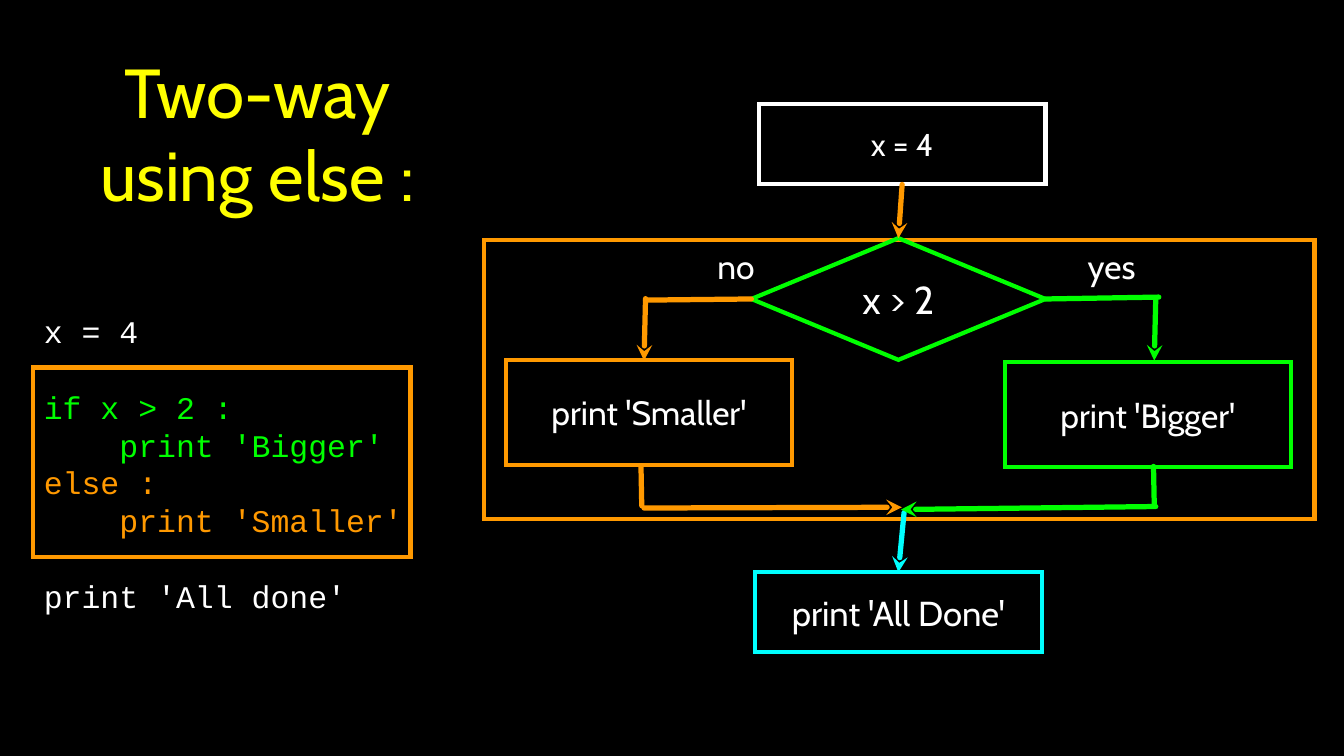
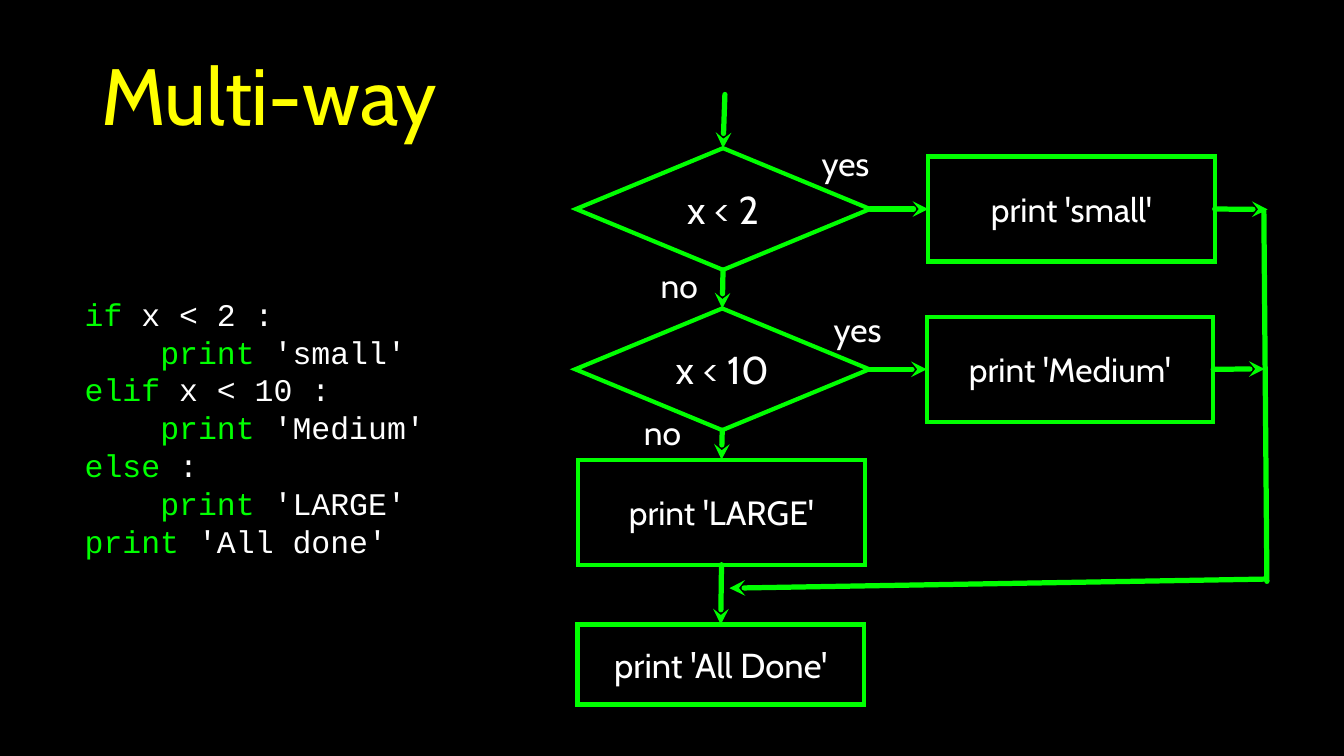
from dataclasses import dataclass

from lxml.etree import SubElement
from pptx import Presentation
from pptx.dml.color import RGBColor
from pptx.enum.shapes import MSO_CONNECTOR, MSO_SHAPE
from pptx.enum.text import MSO_ANCHOR, MSO_AUTO_SIZE, PP_ALIGN
from pptx.oxml.ns import qn
from pptx.util import Inches, Pt


@dataclass(frozen=True)
class Theme:
    background: RGBColor = RGBColor(0x00, 0x00, 0x00)
    white: RGBColor = RGBColor(0xFF, 0xFF, 0xFF)
    yellow: RGBColor = RGBColor(0xFF, 0xFF, 0x00)
    green: RGBColor = RGBColor(0x00, 0xFF, 0x00)
    orange: RGBColor = RGBColor(0xFF, 0x99, 0x00)
    cyan: RGBColor = RGBColor(0x00, 0xFF, 0xFF)
    text_font: str = "Cabin"
    code_font: str = "Courier New"
    code_size: int = 30
    code_leading: int = 36
    label_size: int = 32
    decision_size: int = 37
    final_size: int = 33
    outline: int = 4
    arrow: int = 5


THEME = Theme()
TOP, LEFT, BOTTOM, RIGHT = range(4)

# Sizes shared by the flowchart nodes
DECISION = (3.89, 1.61)
ACTION = (3.79, 1.39)
STEP = (3.79, 1.06)
INDENT = 1.0


# Text
def prepare_frame(frame, margin=0):
    frame.word_wrap = True
    frame.auto_size = MSO_AUTO_SIZE.NONE
    frame.vertical_anchor = MSO_ANCHOR.MIDDLE
    frame.margin_left = frame.margin_right = Inches(margin)
    frame.margin_top = frame.margin_bottom = Inches(margin)


def write_centered(frame, text, size, color=THEME.white, margin=0):
    prepare_frame(frame, margin)
    para = frame.paragraphs[0]
    para.text = text
    para.alignment = PP_ALIGN.CENTER
    para.font.name = THEME.text_font
    para.font.size = Pt(size)
    para.font.color.rgb = color


def add_page(deck, title, size, left, top, width, height):
    page = deck.slides.add_slide(deck.slide_layouts.get_by_name("Title Only"))
    box = page.shapes.title
    box.left, box.top = Inches(left), Inches(top)
    box.width, box.height = Inches(width), Inches(height)
    write_centered(box.text_frame, title, size, THEME.yellow, margin=0.04)
    return page


def add_label(page, text, left, top):
    width = 0.69 if text == "yes" else 0.59
    box = page.shapes.add_textbox(
        Inches(left), Inches(top), Inches(width), Inches(0.61))
    write_centered(box.text_frame, text, THEME.label_size)


def add_code(page, lines, left, top, width, height):
    """Each line is (indent level, space before in lines, [(text, color), ...])."""
    box = page.shapes.add_textbox(
        Inches(left), Inches(top), Inches(width), Inches(height))
    frame = box.text_frame
    prepare_frame(frame)
    for number, (level, gap, spans) in enumerate(lines):
        para = frame.add_paragraph() if number else frame.paragraphs[0]
        para.font.name = THEME.code_font
        para.font.size = Pt(THEME.code_size)
        para.line_spacing = Pt(THEME.code_leading)
        para.space_before = Pt(gap * THEME.code_leading)
        para._p.get_or_add_pPr().set("marL", str(Inches(level * INDENT)))
        for text, color in spans:
            span = para.add_run()
            span.text = text
            span.font.color.rgb = color


# Shapes
def add_outline(page, kind, left, top, size, color):
    width, height = size
    shape = page.shapes.add_shape(
        kind, Inches(left), Inches(top), Inches(width), Inches(height))
    shape.shadow.inherit = False
    shape.fill.background()
    shape.line.color.rgb = color
    shape.line.width = Pt(THEME.outline)
    SubElement(shape.line._get_or_add_ln(), qn("a:miter"), lim="800000")
    return shape


def add_frame(page, left, top, width, height):
    add_outline(page, MSO_SHAPE.RECTANGLE, left, top, (width, height), THEME.orange)


def add_decision(page, text, left, top):
    shape = add_outline(page, MSO_SHAPE.DIAMOND, left, top, DECISION, THEME.green)
    write_centered(shape.text_frame, text, THEME.decision_size)
    return shape


def add_node(page, text, left, top, color=THEME.green, size=ACTION,
             text_size=THEME.label_size):
    shape = add_outline(page, MSO_SHAPE.RECTANGLE, left, top, size, color)
    write_centered(shape.text_frame, text, text_size)
    return shape


def add_line(page, start, end, color=THEME.green, arrow=True):
    """Each end is a point (x, y) in inches or a joint (shape, side)."""
    def is_joint(place):
        return hasattr(place[0], "shape_id")

    points = [0 if is_joint(place) else Inches(value)
              for place in (start, end) for value in place]
    line = page.shapes.add_connector(MSO_CONNECTOR.STRAIGHT, *points)
    if is_joint(start):
        line.begin_connect(*start)
    if is_joint(end):
        line.end_connect(*end)
    line.line.color.rgb = color
    line.line.width = Pt(THEME.arrow)
    outline = line.line._get_or_add_ln()
    outline.set("cap", "rnd")
    if arrow:
        SubElement(outline, qn("a:tailEnd"), type="stealth")
    SubElement(line._element.spPr, qn("a:effectLst"))


# Slides
def build_two_way(deck):
    green, orange, white = THEME.green, THEME.orange, THEME.white
    page = add_page(deck, "Two-way using else :", 66, 0.61, 0.5, 5.59, 2.51)

    # Code with its framed branch
    add_frame(page, 0.44, 4.86, 4.99, 2.51)
    add_code(page, [
        (0, 0, [("x = 4", white)]),
        (0, 1, [("if x > 2 :", green)]),
        (1, 0, [("print 'Bigger'", green)]),
        (0, 0, [("else :", orange)]),
        (1, 0, [("print 'Smaller'", orange)]),
        (0, 1, [("print 'All done'", white)]),
    ], 0.58, 3.35, 5.26, 5.56)

    # Flowchart nodes
    add_frame(page, 6.4, 3.17, 10.99, 3.69)
    start = add_node(page, "x = 4", 10.04, 1.38, white, STEP, 30)
    decision = add_decision(page, "x > 2", 9.94, 3.15)
    bigger = add_node(page, "print 'Bigger'", 13.29, 4.79)
    smaller = add_node(page, "print 'Smaller'", 6.69, 4.76, orange)
    done = add_node(page, "print 'All Done'", 9.99, 7.57, THEME.cyan, STEP,
                    THEME.final_size)
    add_label(page, "no", 9.44, 3.22)
    add_label(page, "yes", 14.36, 3.22)

    # Entry and exit
    add_line(page, (start, BOTTOM), (decision, TOP), orange)
    add_line(page, (11.96, 6.78), (done, TOP), THEME.cyan)

    # The "yes" branch
    add_line(page, (decision, RIGHT), (15.33, 3.93), arrow=False)
    add_line(page, (15.29, 3.95), (15.27, 4.77))
    add_line(page, (15.26, 6.17), (15.27, 6.67), arrow=False)
    add_line(page, (15.29, 6.7), (11.92, 6.74))

    # The "no" branch
    add_line(page, (decision, LEFT), (8.54, 3.97), orange, arrow=False)
    add_line(page, (8.54, 3.95), (8.52, 4.77), orange)
    add_line(page, (8.48, 6.18), (8.49, 6.69), orange, arrow=False)
    add_line(page, (8.52, 6.72), (11.93, 6.71), orange)


def build_multi_way(deck):
    green, white = THEME.green, THEME.white
    page = add_page(deck, "Multi-way", 76, 0.61, 0.33, 5.9, 1.81)

    # Code with keywords in green
    code = [
        (0, "if", " x < 2 :"),
        (1, "print", " 'small'"),
        (0, "elif", " x < 10 :"),
        (1, "print", " 'Medium'"),
        (0, "else", " :"),
        (1, "print", " 'LARGE'"),
        (0, "print", " 'All done'"),
    ]
    add_code(page, [(level, 0, [(keyword, green), (rest, white)])
                    for level, keyword, rest in code], 1.12, 3.21, 5.58, 4.88)

    # Flowchart nodes
    below_two = add_decision(page, "x < 2", 7.62, 1.96)
    below_ten = add_decision(page, "x < 10", 7.61, 4.08)
    small = add_node(page, "print 'small'", 12.28, 2.07)
    medium = add_node(page, "print 'Medium'", 12.26, 4.19)
    large = add_node(page, "print 'LARGE'", 7.65, 6.08)
    done = add_node(page, "print 'All Done'", 7.64, 8.26, size=STEP,
                    text_size=THEME.final_size)
    for text, left, top in [("yes", 10.84, 1.85), ("no", 8.69, 3.47),
                            ("yes", 11, 4.05), ("no", 8.47, 5.41)]:
        add_label(page, text, left, top)

    # Main path downwards
    add_line(page, (9.59, 1.25), (below_two, TOP))
    for upper, lower in [(below_two, below_ten), (below_ten, large), (large, done)]:
        add_line(page, (upper, BOTTOM), (lower, TOP))

    # Side branches and their way back
    for decision, action, end in [(below_two, small, (16.77, 2.77)),
                                  (below_ten, medium, (16.73, 4.88))]:
        add_line(page, (decision, RIGHT), (action, LEFT))
        add_line(page, (action, RIGHT), end)
    add_line(page, (16.72, 2.79), (16.76, 7.69), arrow=False)
    add_line(page, (16.74, 7.66), (9.65, 7.78))


def main():
    deck = Presentation()
    deck.slide_width, deck.slide_height = Inches(17.78), Inches(10)
    fill = deck.slide_master.background.fill
    fill.solid()
    fill.fore_color.rgb = THEME.background
    build_two_way(deck)
    build_multi_way(deck)
    deck.save("out.pptx")


if __name__ == "__main__":
    main()
